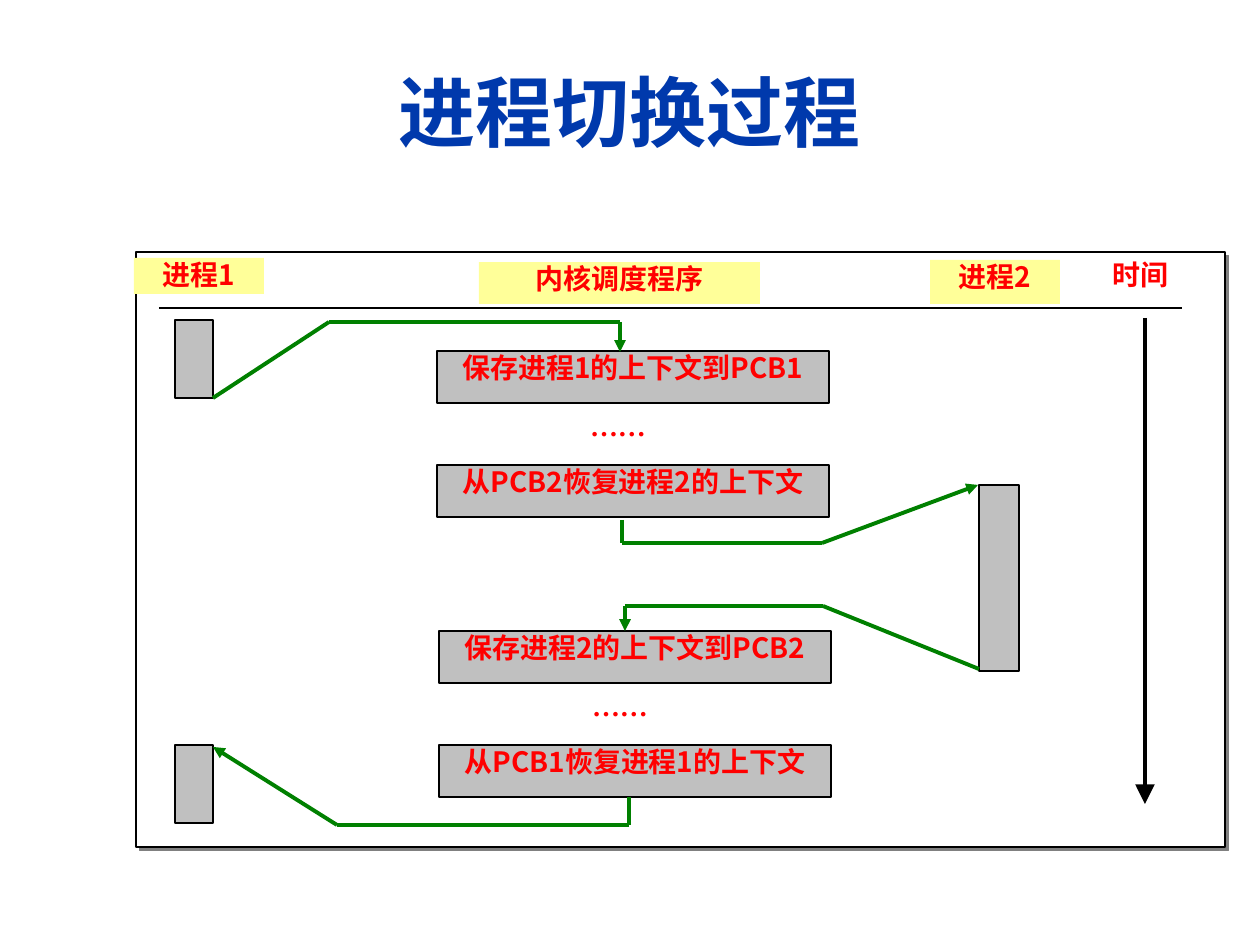
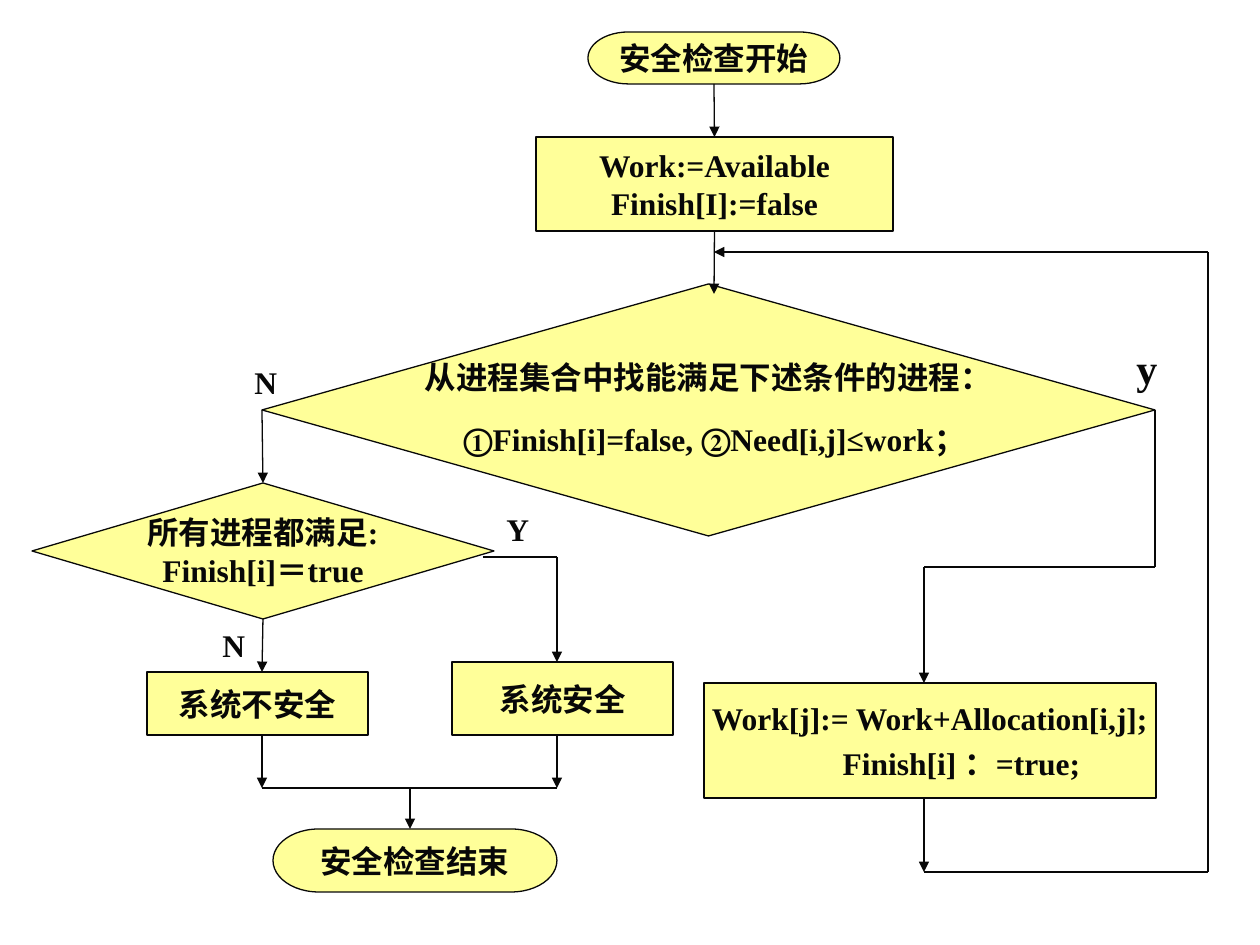
from itertools import pairwise

from lxml import etree
from pptx import Presentation
from pptx import util as u
from pptx.dml.color import RGBColor
from pptx.enum import shapes, text
from pptx.oxml.ns import qn

PX = 914400 / 126
TITLE_BLUE = RGBColor(0x00, 0x39, 0xAC)
RED = RGBColor(0xFF, 0x00, 0x00)
GREEN = RGBColor(0x00, 0x80, 0x00)
YELLOW = RGBColor(0xFF, 0xFF, 0x99)
GREY = RGBColor(0xC0, 0xC0, 0xC0)
SHADOW_GREY = RGBColor(0x80, 0x80, 0x80)
INK = RGBColor(0x08, 0x08, 0x08)
BLACK = RGBColor(0x00, 0x00, 0x00)
WHITE = RGBColor(0xFF, 0xFF, 0xFF)

CJK, ROMAN = "Noto Sans CJK SC", "Times New Roman"
TITLE = {"name": "Arial", "size": u.Pt(44), "bold": True, "color": TITLE_BLUE}
LABEL = {"name": CJK, "size": u.Pt(16), "bold": True, "color": RED}
DOTS = {**LABEL, "name": ROMAN}
FLOW = {"name": ROMAN, "size": u.Pt(18), "bold": True, "color": INK}

MIDDLE = {"vertical_anchor": text.MSO_ANCHOR.MIDDLE}
TIGHT = {"vertical_anchor": text.MSO_ANCHOR.TOP, "word_wrap": True,
         "margin_left": 0, "margin_right": 0, "margin_top": 0, "margin_bottom": 0}
NO_WRAP = {**MIDDLE, "word_wrap": False}
GROW = {"word_wrap": True, "auto_size": text.MSO_AUTO_SIZE.SHAPE_TO_FIT_TEXT}

RECT = shapes.MSO_SHAPE.RECTANGLE
DECISION = shapes.MSO_SHAPE.FLOWCHART_DECISION
TERMINATOR = shapes.MSO_SHAPE.FLOWCHART_TERMINATOR
TOP, LEFT, BOTTOM, RIGHT = range(4)
CENTER = text.PP_ALIGN.CENTER


def emu(*lengths):
    return [round(length * PX) for length in lengths]


def apply(target, values):
    for name, value in values.items():
        setattr(target, name, value)


def add_span(para, words, style):
    span = para.add_run()
    span.text = words
    apply(span.font, {key: style[key] for key in ("name", "size", "bold")})
    span.font.color.rgb = style["color"]
    east_asian = etree.SubElement(span.font._element, qn("a:ea"))
    east_asian.set("typeface", CJK)


def write(box, lines, style, frame_format, align=CENTER, gap=0):
    """Fill a box with one paragraph a line; gap is the space between them in points."""
    frame = box.text_frame
    apply(frame, frame_format)
    for index, line in enumerate(lines):
        para = frame.add_paragraph() if index else frame.paragraphs[0]
        para.alignment = align
        para.space_before = u.Pt(gap if index else 0)
        add_span(para, line, style)
    return box


def add_box(page, kind, place, fill, line=None):
    box = page.shapes.add_shape(kind, *emu(*place))
    box.shadow.inherit = False
    box.fill.solid()
    box.fill.fore_color.rgb = fill
    if line is None:
        box.line.fill.background()
    else:
        box.line.color.rgb = line
        box.line.width = u.Pt(0.75)
    return box


def add_label(page, place, words, style, frame_format, align=CENTER):
    box = page.shapes.add_textbox(*emu(*place))
    return write(box, [words], style, frame_format, align)


def add_drop_shadow(box):
    effects = box._element.spPr.find(qn("a:effectLst"))
    shadow = etree.SubElement(effects, qn("a:outerShdw"),
                              dist=str(u.Pt(2.8)), dir="2700000", algn="ctr", rotWithShape="0")
    etree.SubElement(shadow, qn("a:srgbClr"), val=str(SHADOW_GREY))


def add_route(parent, points, color, width, arrow="med", start=None, end=None):
    """Join points by straight lines; arrow sizes the last head, start and end are (box, side)."""
    legs = []
    for first, last in pairwise(points):
        leg = parent.shapes.add_connector(shapes.MSO_CONNECTOR.STRAIGHT, *emu(*first, *last))
        leg.line.color.rgb = color
        leg.line.width = u.Pt(width)
        etree.SubElement(leg._element.spPr, qn("a:effectLst"))
        legs.append(leg)
    if start:
        legs[0].begin_connect(*start)
    if end:
        legs[-1].end_connect(*end)
    if arrow:
        etree.SubElement(legs[-1].line._get_or_add_ln(), qn("a:tailEnd"),
                         type="triangle", w=arrow, len=arrow)


def build_switch_page(deck):
    page = deck.slides.add_slide(deck.slide_layouts[5])
    title = page.shapes.title
    apply(title, dict(zip(("left", "top", "width", "height"), emu(42, 32, 1176, 157))))
    write(title, ["进程切换过程"], TITLE, MIDDLE)

    add_drop_shadow(add_box(page, RECT, (136, 252, 1089, 595), WHITE, BLACK))

    headings = [("进程1", (134, 258, 130, 36)),
                ("进程2", (930, 260, 130, 44)),
                ("内核调度程序", (479, 262, 281, 42))]
    for words, place in headings:
        write(add_box(page, RECT, place, YELLOW), [words], LABEL, TIGHT)
    add_label(page, (1075, 258, 130, 47), "时间", LABEL, TIGHT)
    add_route(page, [(159, 308), (1182, 308)], BLACK, 0.75, arrow=None)

    for run_time in [(175, 320, 38, 78), (175, 745, 38, 78), (979, 485, 40, 186)]:
        add_box(page, RECT, run_time, GREY, BLACK)

    switches = [(437, 351, "保存进程1的上下文到PCB1", "从PCB2恢复进程2的上下文"),
                (439, 631, "保存进程2的上下文到PCB2", "从PCB1恢复进程1的上下文")]
    for left, top, save, restore in switches:
        for step, words in enumerate((save, restore)):
            box = add_box(page, RECT, (left, top + 114 * step, 392, 52), GREY, BLACK)
            write(box, [words], LABEL, TIGHT)
        add_label(page, (left + 99, top + 58, 164, 52), "……", DOTS, TIGHT)

    control_flows = [[(213, 398), (329, 322), (620, 322), (620, 352)],
                     [(622, 520), (622, 543), (822, 543), (978, 485)],
                     [(979, 669), (823, 606), (625, 606), (625, 631)],
                     [(629, 797), (629, 825), (337, 825), (213, 747)]]
    for points in control_flows:
        add_route(page.shapes.add_group_shape(), points, GREEN, 2.25)
    add_route(page, [(1145, 318), (1145, 804)], BLACK, 2.25, arrow="lg")


def build_safety_page(deck):
    page = deck.slides.add_slide(deck.slide_layouts[6])

    def node(kind, place, *lines, gap=0):
        box = add_box(page, kind, place, YELLOW, INK)
        return write(box, lines, FLOW, NO_WRAP, gap=gap)

    def flow(*points, **options):
        add_route(page, points, INK, 0.75, **options)

    begin = node(TERMINATOR, (588, 32, 252, 52), "安全检查开始")
    init = node(RECT, (536, 137, 357, 94), "Work:=Available", "Finish[I]:=false")
    search = node(DECISION, (262, 284, 893, 252), "从进程集合中找能满足下述条件的进程：")
    condition = search.text_frame.add_paragraph()
    apply(condition, {"alignment": CENTER, "space_before": u.Pt(4)})
    add_span(condition, " ", {**FLOW, "size": u.Pt(28)})
    add_span(condition, "①Finish[i]=false, ②Need[i,j]≤work；", FLOW)
    update = node(RECT, (704, 683, 452, 115), "Work[j]:= Work+Allocation[i,j];",
                  "Finish[i] ：=true;", gap=3.6)
    indent = update.text_frame.paragraphs[1]._p.get_or_add_pPr()
    indent.set("marL", str(u.Pt(36)))
    check = node(DECISION, (32, 483, 462, 136), "所有进程都满足:", "Finish[i]＝true")
    node(RECT, (147, 672, 221, 63), "系统不安全")
    node(RECT, (452, 662, 221, 73), "系统安全")
    node(TERMINATOR, (273, 829, 284, 63), "安全检查结束")

    flow((714, 84), (714, 137), start=(begin, BOTTOM), end=(init, TOP))
    flow((714, 231), (714, 294), start=(init, BOTTOM))
    flow((262, 410), (262, 483), start=(search, LEFT), end=(check, TOP))
    flow((1155, 410), (1155, 567), (924, 567), (924, 683), start=(search, RIGHT))
    flow((924, 798), (924, 872))
    flow((924, 872), (1208, 872), (1208, 252), (714, 252))
    flow((483, 557), (557, 557), (557, 662))
    flow((262, 619), (262, 672), start=(check, BOTTOM))
    for outcome in (262, 557):
        flow((outcome, 735), (outcome, 788))
    flow((262, 788), (557, 788), arrow=None)
    flow((410, 788), (410, 829))

    answers = [("N", (242, 357, 73, 50), 18), ("y", (1124, 336, 53, 63), 24),
               ("N", (210, 620, 84, 50), 18), ("Y", (494, 504, 73, 50), 18)]
    for words, place, size in answers:
        add_label(page, place, words, {**FLOW, "size": u.Pt(size)}, GROW, text.PP_ALIGN.LEFT)


def main():
    deck = Presentation()
    deck.slide_width, deck.slide_height = emu(1260, 945)
    build_switch_page(deck)
    build_safety_page(deck)
    deck.save("out.pptx")


if __name__ == "__main__":
    main()
